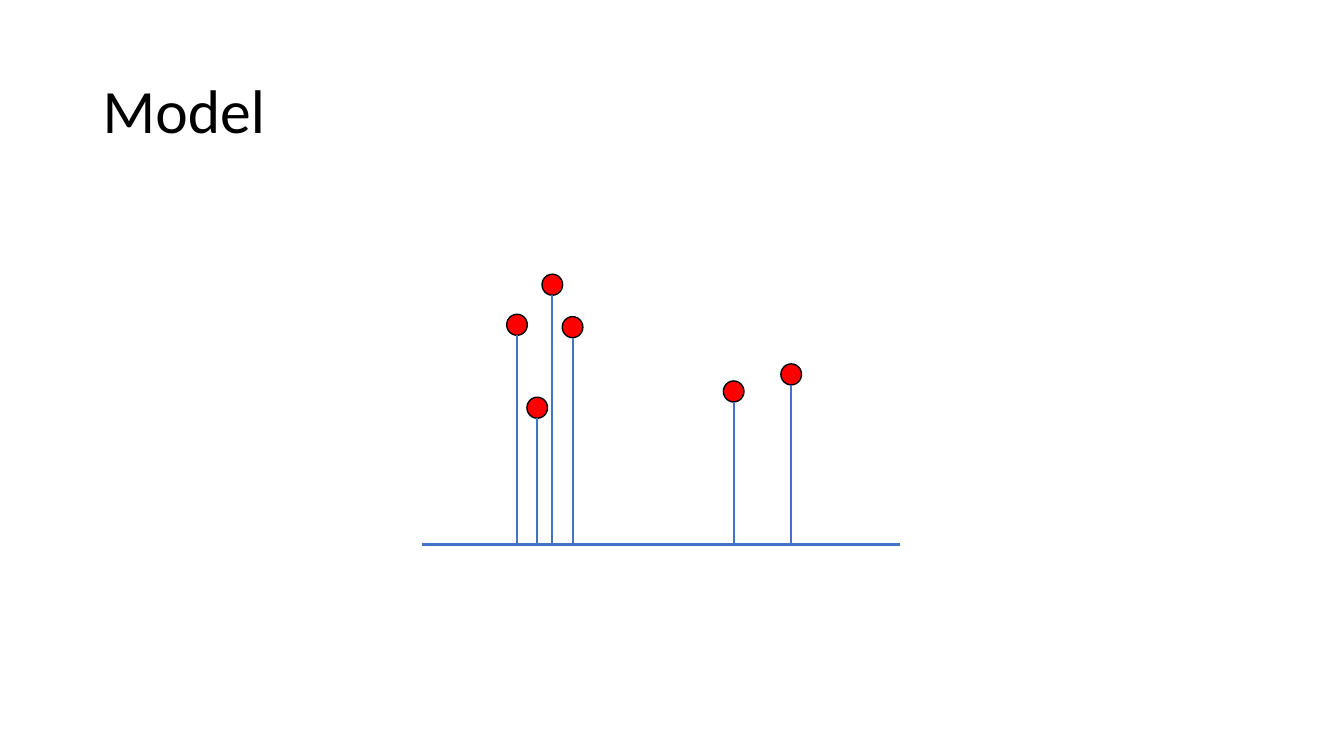
from lxml import etree
from pptx import Presentation
from pptx.dml.color import RGBColor
from pptx.enum import shapes, text
from pptx.oxml.ns import qn
from pptx.util import Cm, Pt

BLUE, RED, BLACK = "4472C4", "FF0000", "000000"
BASELINE = 13.72
DOT_WIDTH, DOT_HEIGHT = 0.52, 0.53
# Centre and top of each dot, in centimetres
DOTS = [(13.92, 6.91), (13.03, 7.92), (19.94, 9.17),
        (18.49, 9.6), (14.43, 7.98), (13.54, 10.01)]


def color(code):
    return RGBColor.from_string(code)


def add_text(page, words, *, left, top, width, height, size, font, ink):
    box = page.shapes.add_textbox(Cm(left), Cm(top), Cm(width), Cm(height))
    frame = box.text_frame
    frame.word_wrap = True
    frame.vertical_anchor = text.MSO_ANCHOR.MIDDLE
    para = frame.paragraphs[0]
    para.line_spacing = 0.9
    span = para.add_run()
    span.text = words
    span.font.size = Pt(size)
    span.font.name = font
    span.font.color.rgb = color(ink)


def add_line(page, start, end, weight):
    line = page.shapes.add_connector(
        shapes.MSO_CONNECTOR.STRAIGHT, *map(Cm, start + end))
    line.line.color.rgb = color(BLUE)
    line.line.width = Pt(weight)
    etree.SubElement(line._element.spPr, qn("a:effectLst"))


def add_dot(page, center, top):
    dot = page.shapes.add_shape(
        shapes.MSO_SHAPE.OVAL, Cm(center - DOT_WIDTH / 2), Cm(top),
        Cm(DOT_WIDTH), Cm(DOT_HEIGHT))
    dot.shadow.inherit = False
    dot.fill.solid()
    dot.fill.fore_color.rgb = color(RED)
    dot.line.color.rgb = color(BLACK)
    dot.line.width = Pt(1)


def main():
    deck = Presentation()
    deck.slide_width, deck.slide_height = Cm(33.87), Cm(19.05)
    page = deck.slides.add_slide(deck.slide_layouts[6])

    # Title
    add_text(page, "Model", left=2.34, top=1.02, width=29.21, height=3.68,
             size=44, font="Calibri", ink=BLACK)

    # Dots
    for center, top in DOTS:
        add_dot(page, center, top)

    # Axis, then a stem from it up to each dot
    add_line(page, (10.64, BASELINE), (22.68, BASELINE), 2.25)
    for center, top in DOTS:
        add_line(page, (center, BASELINE), (center, top + DOT_HEIGHT), 1.5)

    deck.save("out.pptx")


if __name__ == "__main__":
    main()
